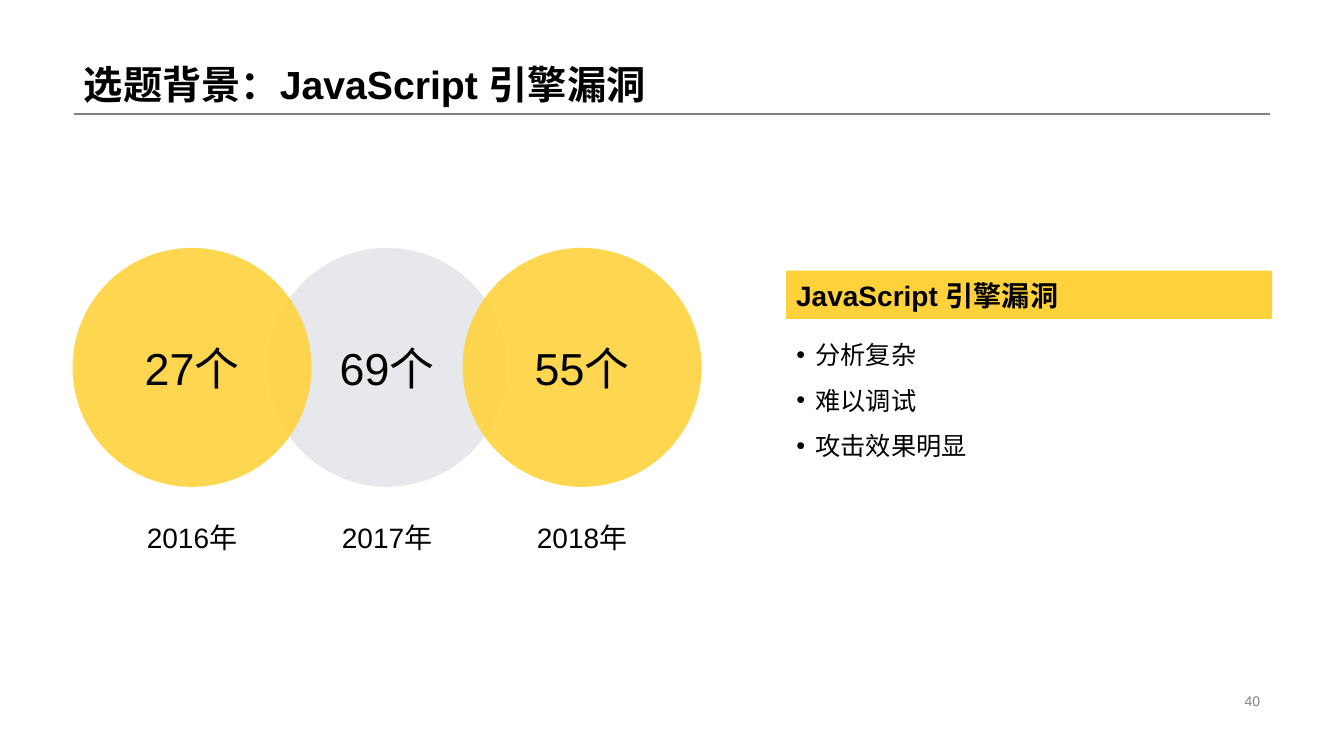
from lxml import etree
from pptx import Presentation
from pptx.dml.color import RGBColor
from pptx.enum.shapes import MSO_CONNECTOR, MSO_SHAPE
from pptx.enum.text import MSO_ANCHOR, MSO_AUTO_SIZE, PP_ALIGN
from pptx.oxml.ns import qn
from pptx.util import Inches, Pt

LEFT, CENTER, RIGHT = PP_ALIGN.LEFT, PP_ALIGN.CENTER, PP_ALIGN.RIGHT
TOP, MIDDLE, BOTTOM = MSO_ANCHOR.TOP, MSO_ANCHOR.MIDDLE, MSO_ANCHOR.BOTTOM
OVAL, RECTANGLE = MSO_SHAPE.OVAL, MSO_SHAPE.RECTANGLE
STRAIGHT = MSO_CONNECTOR.STRAIGHT
NO_AUTOFIT = MSO_AUTO_SIZE.NONE

BLACK = RGBColor(0x00, 0x00, 0x00)
GRAY = RGBColor(0x80, 0x80, 0x80)
SILVER = RGBColor(0xE4, 0xE6, 0xEA)
YELLOW = RGBColor(0xFF, 0xD2, 0x3C)

TITLE_AND_CONTENT = 1

# Percentages of the slide's width or height
MARGIN, CONTENT_WIDTH = 5.5, 89
CIRCLE_LEFT, CIRCLE_STEP = 5.4, 14.51
CIRCLE_WIDTH, CIRCLE_HEIGHT = 17.78, 31.6
YEAR_WIDTH = 14.18
PANEL_LEFT, PANEL_WIDTH = 58.5, 36.15

# Order, from back to front: position, year, count, colour
YEAR_COUNTS = [
    (1, "2017年", "69个", SILVER),
    (2, "2018年", "55个", YELLOW),
    (0, "2016年", "27个", YELLOW),
]


def write_text(frame, *lines, size, color=BLACK, bold=False, align=LEFT,
               anchor=TOP, spacing=1.0, font="Arial"):
    frame.word_wrap = True
    frame.auto_size = NO_AUTOFIT
    frame.vertical_anchor = anchor
    for number, line in enumerate(lines):
        para = frame.add_paragraph() if number else frame.paragraphs[0]
        para.alignment = align
        para.line_spacing = spacing
        para.space_before = Pt(0)
        span = para.add_run()
        span.text = line
        span.font.name = font
        span.font.size = Pt(size)
        span.font.bold = bold
        span.font.color.rgb = color


class Page:
    """One slide whose lengths are given as percentages of its size."""

    def __init__(self, deck):
        self.width, self.height = deck.slide_width, deck.slide_height
        self.slide = deck.slides.add_slide(deck.slide_layouts[TITLE_AND_CONTENT])

    def area(self, left, top, width, height):
        return (int(self.width * left / 100), int(self.height * top / 100),
                int(self.width * width / 100), int(self.height * height / 100))

    def place(self, box, *area):
        box.left, box.top, box.width, box.height = self.area(*area)

    def title(self, text, *area, **style):
        box = self.slide.shapes.title
        self.place(box, *area)
        write_text(box.text_frame, text, **style)

    def bullets(self, lines, *area, indent=0.19, **style):
        box = self.slide.placeholders[1]
        self.place(box, *area)
        write_text(box.text_frame, *lines, **style)
        for para in box.text_frame.paragraphs:
            properties = para._p.get_or_add_pPr()
            properties.set("marL", str(Inches(indent)))
            properties.set("indent", str(-Inches(indent)))
            etree.SubElement(properties, qn("a:buFont")).set("typeface", "Arial")
            etree.SubElement(properties, qn("a:buChar")).set("char", "•")

    def rule(self, left, top, width, color):
        x, y, length, _ = self.area(left, top, width, 0)
        line = self.slide.shapes.add_connector(STRAIGHT, x, y, x + length, y)
        line.line.color.rgb = color
        line.line.width = Pt(1)
        etree.SubElement(line._element.spPr, qn("a:effectLst"))

    def shape(self, kind, text, *area, fill, opacity=100, **style):
        box = self.slide.shapes.add_shape(kind, *self.area(*area))
        box.shadow.inherit = False
        box.fill.solid()
        box.fill.fore_color.rgb = fill
        box.line.fill.background()
        if opacity < 100:
            color = box._element.spPr.find(".//" + qn("a:srgbClr"))
            etree.SubElement(color, qn("a:alpha")).set("val", str(opacity * 1000))
        write_text(box.text_frame, text, anchor=MIDDLE, **style)

    def text(self, text, *area, **style):
        box = self.slide.shapes.add_textbox(*self.area(*area))
        write_text(box.text_frame, text, **style)


def main():
    deck = Presentation()
    deck.slide_width, deck.slide_height = Inches(13.33), Inches(7.5)
    page = Page(deck)

    page.rule(MARGIN, 15.07, CONTENT_WIDTH, GRAY)
    page.title("选题背景：JavaScript 引擎漏洞", MARGIN, 0, CONTENT_WIDTH, 14.93,
               size=28, bold=True, anchor=BOTTOM, spacing=0.9)

    for position, year, count, color in YEAR_COUNTS:
        left = CIRCLE_LEFT + position * CIRCLE_STEP
        page.shape(OVAL, count, left, 32.8, CIRCLE_WIDTH, CIRCLE_HEIGHT,
                   fill=color, opacity=90, size=32, align=CENTER)
        page.text(year, left + (CIRCLE_WIDTH - YEAR_WIDTH) / 2, 66, YEAR_WIDTH, 12.27,
                  size=20, align=CENTER, spacing=1.5)

    page.shape(RECTANGLE, "JavaScript 引擎漏洞", PANEL_LEFT, 35.8, PANEL_WIDTH, 6.4,
               fill=YELLOW, size=20, bold=True)
    page.bullets(["分析复杂", "难以调试", "攻击效果明显"],
                 PANEL_LEFT, 42.27, PANEL_WIDTH, 24, size=18, spacing=1.5)
    page.text("40", 70.65, 91.2, 23.85, 3.07,
              size=10, color=GRAY, align=RIGHT, anchor=MIDDLE)

    deck.save("out.pptx")


if __name__ == "__main__":
    main()
